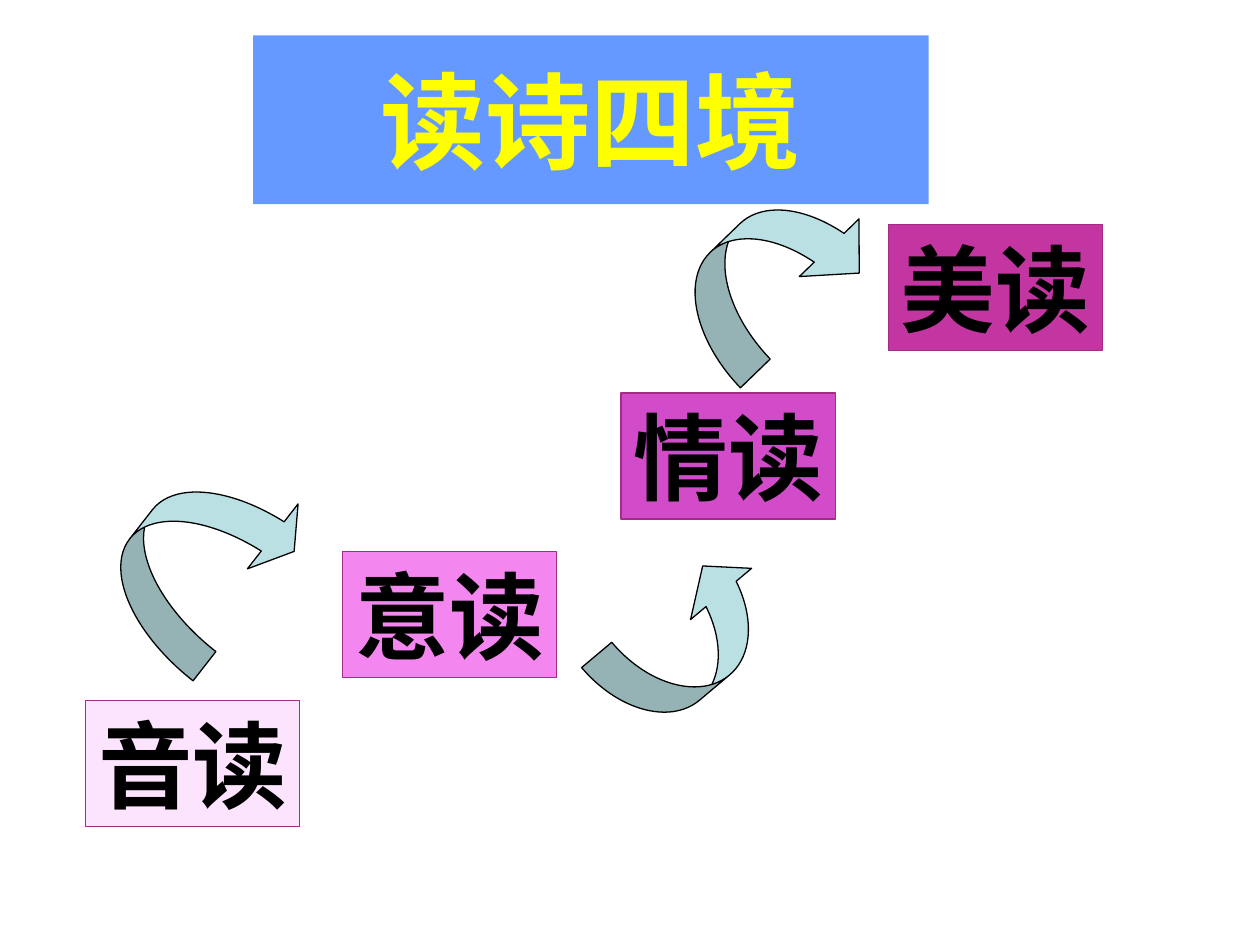
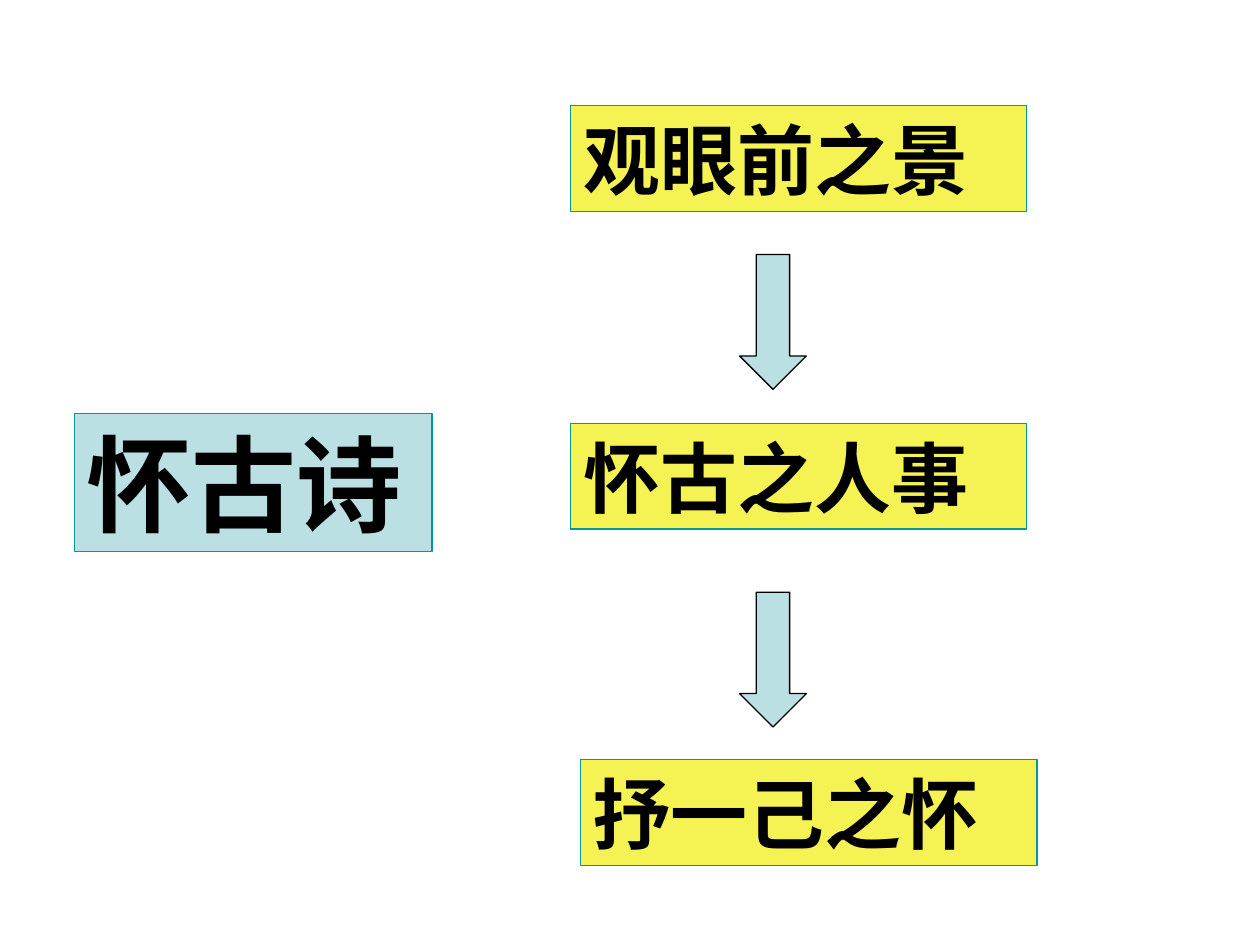
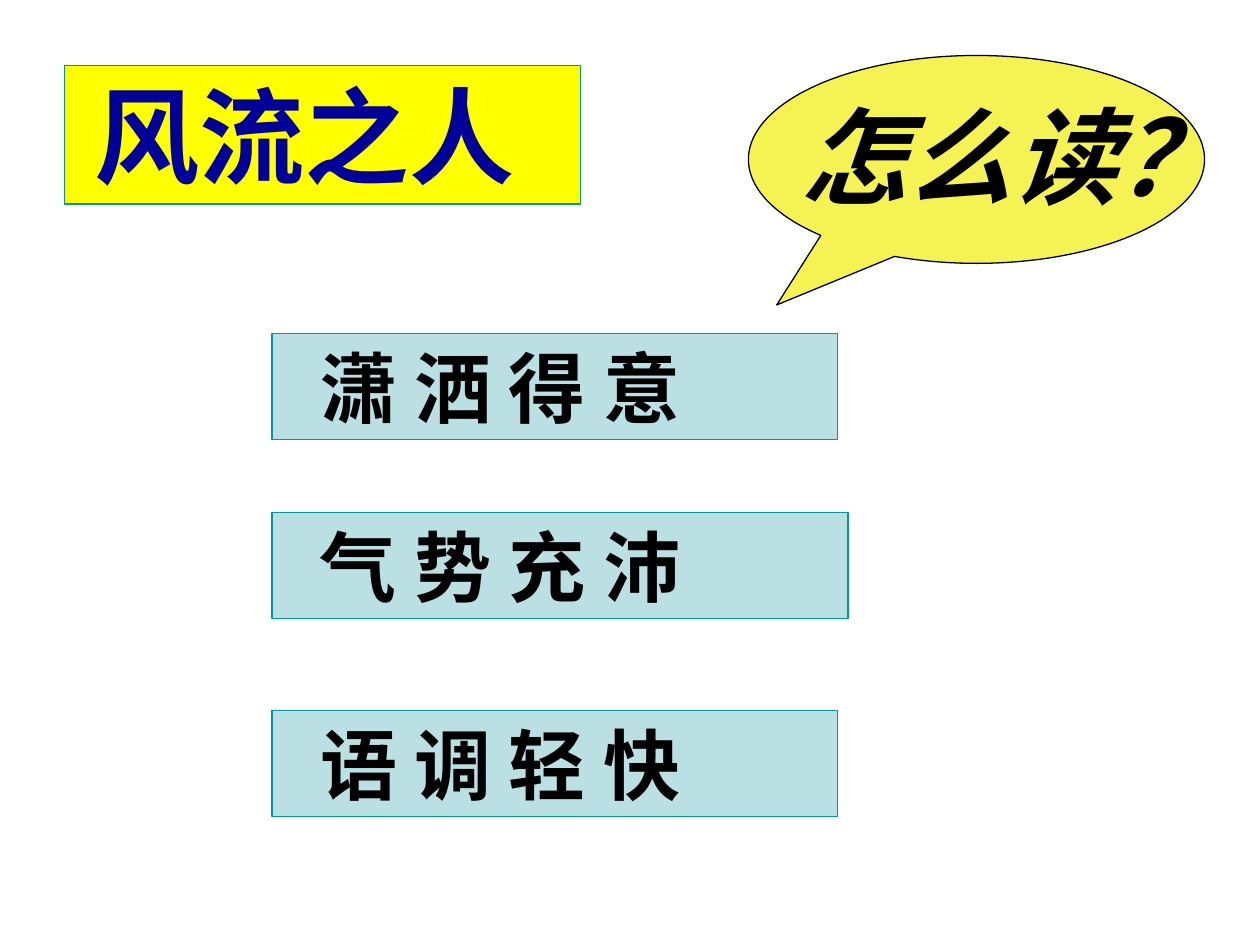
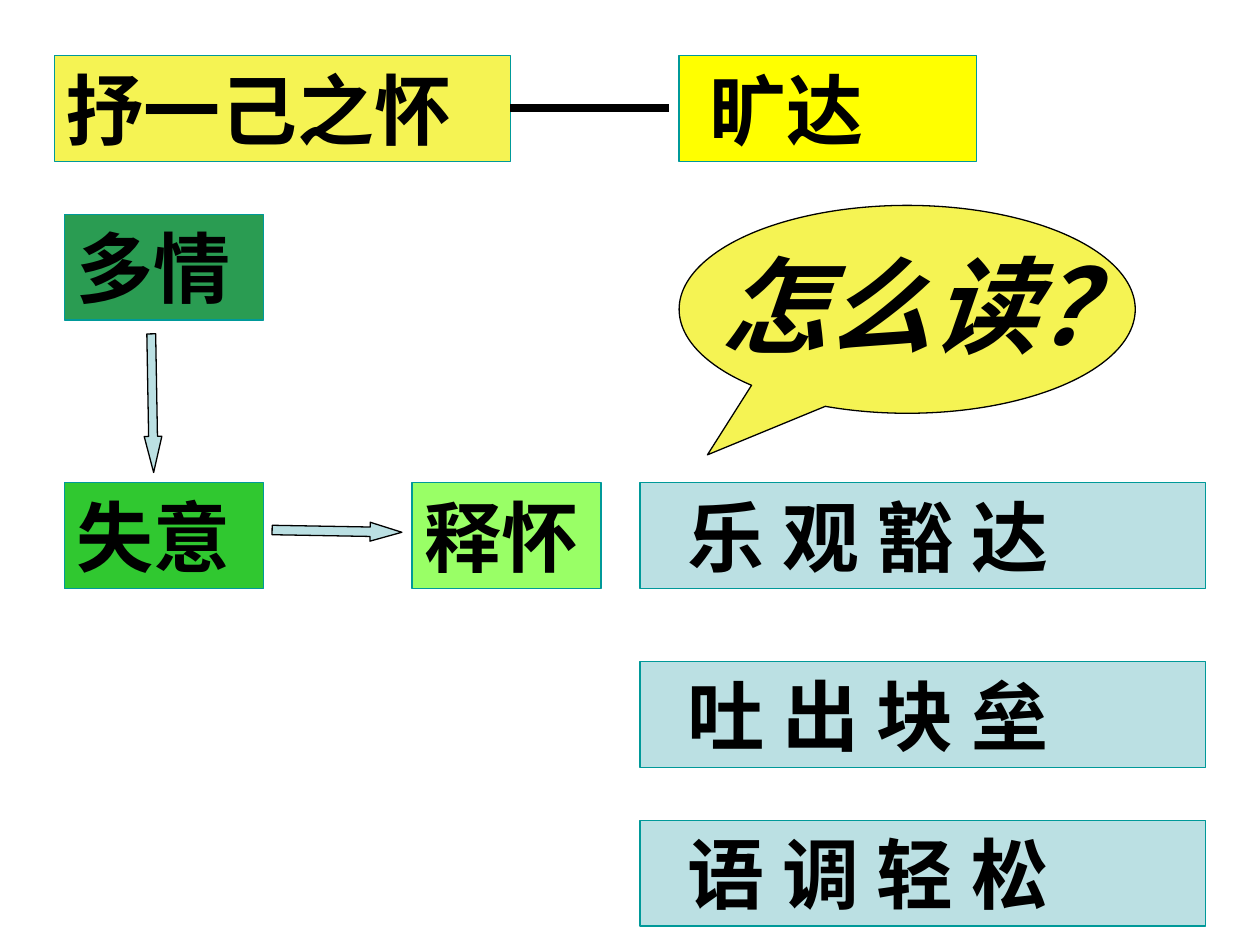
from dataclasses import dataclass
from lxml.etree import SubElement
from pptx import Presentation
from pptx.dml.color import RGBColor as Rgb
from pptx.enum.shapes import MSO_CONNECTOR as Link, MSO_SHAPE as Kind
from pptx.enum.text import MSO_ANCHOR as Anchor, MSO_AUTO_SIZE as Fit, PP_ALIGN as Align
from pptx.oxml.ns import qn
from pptx.util import Inches, Pt


@dataclass(frozen=True)
class Theme:
    latin: str = "Arial"
    hans: str = "Noto Sans CJK SC"
    big: int = 60
    step: int = 54
    mid: int = 44
    thin: float = 0.75
    thick: float = 4.5
    ink: str = "000000"
    navy: str = "000099"
    teal: str = "009999"
    plum: str = "A32D86"
    sky: str = "6699FF"
    pale: str = "BBE0E3"
    sun: str = "FFFF00"
    lemon: str = "F5F353"
    pine: str = "2A9C52"
    leaf: str = "30C830"
    lime: str = "99FF66"
    steps: tuple = ("FDE4FE", "F387EF", "D24CCA", "C335A0")


T = Theme()
ROW = 0.84
WIDE = 3.62


def apply(obj, form):
    for name, value in form.items():
        setattr(obj, name, value)


def paint(shape, fill, edge=None):
    shape.fill.solid()
    shape.fill.fore_color.rgb = Rgb.from_string(fill)
    if edge:
        shape.line.color.rgb = Rgb.from_string(edge)
        shape.line.width = Pt(T.thin)
    else:
        shape.line.fill.background()


def write(shape, text, size, face=T.hans, color=T.ink, italic=False,
          align=Align.LEFT, indent=0, wrap=True):
    frame = shape.text_frame
    apply(frame, {
        "auto_size": Fit.NONE, "word_wrap": wrap, "vertical_anchor": Anchor.MIDDLE,
        "margin_left": Inches(0.1 + indent), "margin_right": Inches(0.1),
        "margin_top": Inches(0.05), "margin_bottom": Inches(0.05),
    })
    para = frame.paragraphs[0]
    para.alignment = align
    run = para.add_run()
    run.text = text
    apply(run.font, {"name": face, "size": Pt(size), "bold": True, "italic": italic})
    run.font.color.rgb = Rgb.from_string(color)


def draw(slide, kind, at, fill, edge=T.ink, adj=(), turn=0):
    shape = slide.shapes.add_shape(kind, *map(Inches, at))
    shape.shadow.inherit = False
    paint(shape, fill, edge)
    for i, value in enumerate(adj):
        shape.adjustments[i] = value
    shape.rotation = turn
    return shape


def label(slide, text, at, fill, size=T.mid, edge=T.teal, **form):
    box = draw(slide, Kind.RECTANGLE, at, fill, edge)
    write(box, text, size, **form)
    return box


def arrow(slide, at, ratio, turn=0):
    draw(slide, Kind.DOWN_ARROW, at, T.pale, adj=(0.5, ratio), turn=turn)


def ask(slide, left, top, note):
    draw(slide, Kind.OVAL_CALLOUT, (left, top, WIDE, 1.65), T.lemon, adj=(-0.438, 0.7))
    box = slide.shapes.add_textbox(*map(Inches, (*note, 3.53, 1.1)))
    write(box, "怎么读？", T.big, face=T.latin, italic=True, wrap=False)


def bar(slide, box, end):
    y = box.top + box.height // 2
    line = slide.shapes.add_connector(Link.STRAIGHT, box.left + box.width, y, Inches(end), y)
    line.begin_connect(box, 3)
    line.line.color.rgb = Rgb.from_string(T.ink)
    line.line.width = Pt(T.thick)
    SubElement(line._element.spPr, qn("a:effectLst"))


def realms(deck):
    slide = deck.slides.add_slide(deck.slide_layouts[5])
    title = slide.shapes.title
    place = zip(("left", "top", "width", "height"), map(Inches, (2.01, 0.28, 5.36, 1.34)))
    apply(title, dict(place))
    paint(title, T.sky)
    write(title, "读诗四境", T.big, face=T.latin, color=T.sun, align=Align.CENTER)
    spots = ((0.68, 5.56), (2.72, 4.38), (4.93, 3.12), (7.05, 1.78))
    for text, spot, fill in zip(("音读", "意读", "情读", "美读"), spots, T.steps):
        label(slide, text, (*spot, 1.7, 1), fill, T.step, T.plum, face=T.latin, wrap=False)
    over, under = Kind.CURVED_DOWN_ARROW, Kind.CURVED_UP_ARROW
    for kind, at, adj, turn in (
            (over, (0.79, 3.88, 1.63, 1.09), (0.27, 0.6, 0.19), 308),
            (under, (4.69, 4.7, 1.57, 0.8), (0.39, 0.79, 0.33), 320),
            (over, (5.32, 1.7, 1.64, 0.94), (0.35, 0.7, 0.33), 316)):
        draw(slide, kind, at, T.pale, adj=adj, turn=turn)


def past(deck):
    slide = deck.slides.add_slide(deck.slide_layouts[6])
    label(slide, "怀古诗", (0.59, 3.28, 2.84, 1.1), T.pale, T.big)
    for text, left, top in (("观眼前之景", 4.53, 0.84), ("怀古之人事", 4.53, 3.36),
                            ("抒一己之怀", 4.61, 6.03)):
        label(slide, text, (left, top, WIDE, ROW), T.lemon)
    for top in (2.02, 4.7):
        arrow(slide, (5.87, top, 0.53, 1.07), 0.5)


def hero(deck):
    slide = deck.slides.add_slide(deck.slide_layouts[6])
    label(slide, "风流之人", (0.51, 0.52, 4.1, 1.1), T.sun, T.big, color=T.navy, indent=0.14)
    for text, top, width in (("气 势 充 沛", 4.07, 4.57), ("语 调 轻 快", 5.64, 4.49),
                             ("潇 洒 得 意", 2.65, 4.49)):
        label(slide, text, (2.16, top, width, ROW), T.pale, indent=0.28)
    ask(slide, 5.94, 0.44, (6.26, 0.68))


def heart(deck):
    slide = deck.slides.add_slide(deck.slide_layouts[6])
    theme = label(slide, "抒一己之怀", (0.43, 0.44, WIDE, ROW), T.lemon)
    for text, left, top, width, fill in (("多情", 0.51, 1.7, 1.58, T.pine),
                                         ("失意", 0.51, 3.83, 1.58, T.leaf),
                                         ("释怀", 3.27, 3.83, 1.5, T.lime)):
        label(slide, text, (left, top, width, ROW), fill)
    arrow(slide, (1.14, 2.65, 0.14, 1.1), 2.04, 359)
    arrow(slide, (2.6, 3.7, 0.15, 1.03), 1.68, 271)
    ask(slide, 5.39, 1.63, (5.63, 1.86))
    for text, top in (("乐 观 豁 达", 3.83), ("吐 出 块 垒", 5.25), ("语 调 轻 松", 6.51)):
        label(slide, text, (5.08, top, 4.49, ROW), T.pale, indent=0.28)
    bar(slide, theme, 5.31)
    label(slide, "旷达", (5.39, 0.44, 2.36, ROW), T.sun, indent=0.14)


def main():
    deck = Presentation()
    apply(deck, {"slide_width": Inches(10), "slide_height": Inches(7.5)})
    for build in (realms, past, hero, heart):
        build(deck)
    deck.save("out.pptx")


if __name__ == "__main__":
    main()
